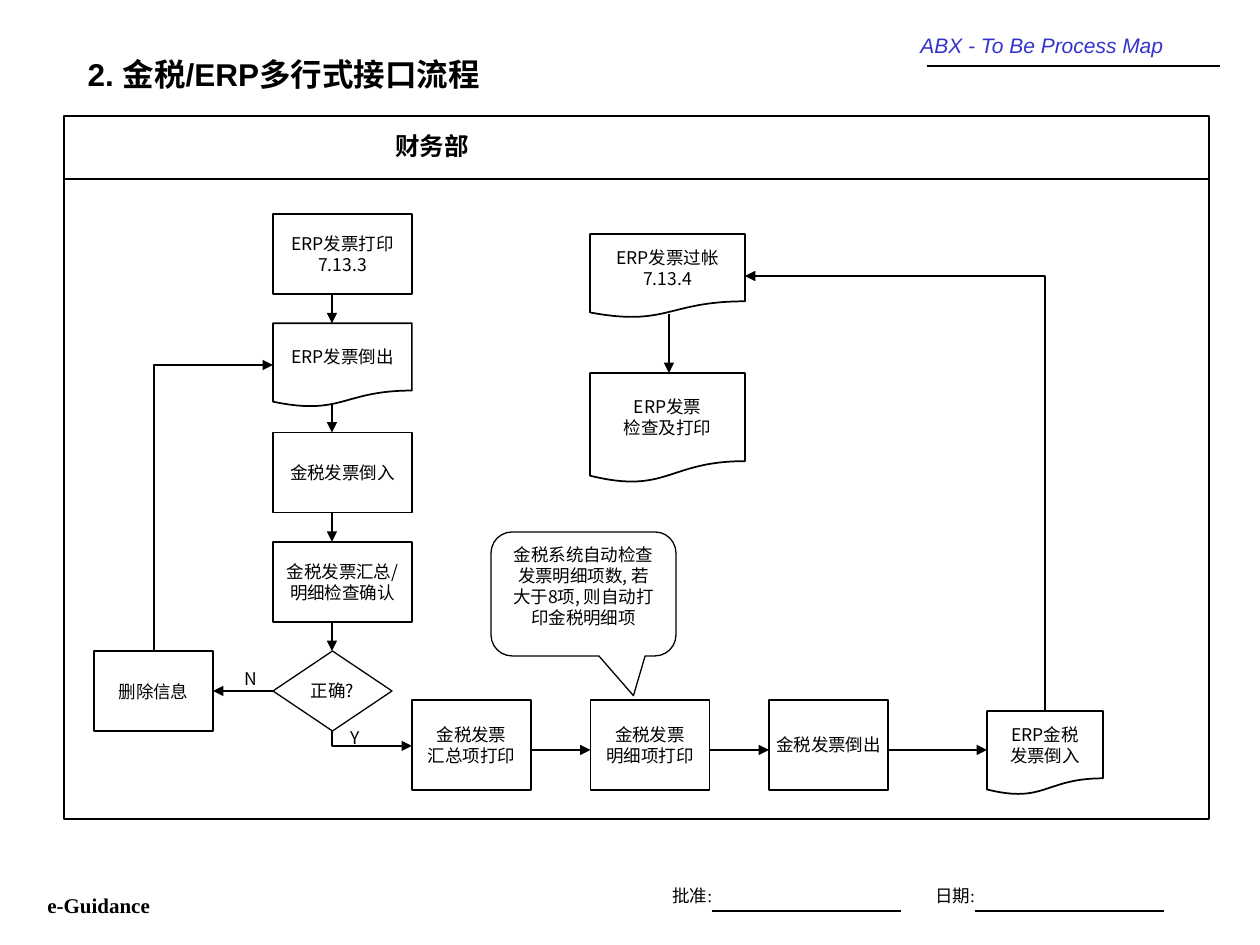
from lxml import etree
from pptx import Presentation
from pptx.dml.color import RGBColor
from pptx.enum.shapes import MSO_CONNECTOR, MSO_SHAPE
from pptx.enum.text import MSO_ANCHOR, PP_ALIGN
from pptx.oxml.ns import qn
from pptx.util import Emu, Pt

PX = 914400 // 126
BLACK = RGBColor(0x00, 0x00, 0x00)
WHITE = RGBColor(0xFF, 0xFF, 0xFF)
BLUE = RGBColor(0x33, 0x33, 0xCC)
SANS, SERIF, CJK = "Arial", "Times New Roman", "Noto Sans CJK SC"
RECT, DOC = MSO_SHAPE.RECTANGLE, MSO_SHAPE.FLOWCHART_DOCUMENT
DECISION, CALLOUT = MSO_SHAPE.FLOWCHART_DECISION, MSO_SHAPE.ROUNDED_RECTANGULAR_CALLOUT
STRAIGHT, ELBOW = MSO_CONNECTOR.STRAIGHT, MSO_CONNECTOR.ELBOW
LEFT, CENTER = PP_ALIGN.LEFT, PP_ALIGN.CENTER
TOP, MIDDLE = MSO_ANCHOR.TOP, MSO_ANCHOR.MIDDLE

TITLE = "2. 金税/ERP多行式接口流程"
CHECK_STEPS = [
    (RECT, "ERP发票打印\n7.13.3", 139, 80, 1),
    (DOC, "ERP发票倒出", 139, 84, 1),
    (RECT, "金税发票倒入", 139, 80, 1),
    (RECT, "金税发票汇总/\n明细检查确认", 139, 80, 1),
    (DECISION, "正确?", 119, 80, 0.75),
]
PRINT_STEPS = ["金税发票\n汇总项打印", "金税发票\n明细项打印", "金税发票倒出"]
OTHER_STEPS = [
    (RECT, "删除信息", 94, 651, 119, 80),
    (DOC, "ERP金税\n发票倒入", 987, 711, 116, 84),
    (DOC, "ERP发票过帐\n7.13.4", 590, 234, 155, 84),
    (DOC, "ERP发票\n检查及打印", 590, 373, 155, 110),
]
NOTE = "金税系统自动检查发票明细项数, 若大于8项, 则自动打印金税明细项"
LABELS = [
    ("ABX - To Be Process Map", 908, 26, 280, 38, dict(size=12, font=SANS, color=BLUE, italic=True)),
    ("e-Guidance", 35, 886, 150, 38, dict(size=12, font=SERIF, bold=True)),
    ("财务部", 383, 125, 120, 43, dict(size=14, bold=True)),
    ("Y", 338, 721, 38, 34, {}),
    ("N", 232, 662, 38, 34, {}),
]
SIGNATURES = ["批准:", "日期:"]
ELBOWS = [(745, 276, 1045, 711), (273, 365, 154, 651), (412, 746, 332, 731)]

COLUMN_X, COLUMN_Y, COLUMN_STEP, COLUMN_MID = 273, 214, 109.25, 332
ROW_X, ROW_Y, ROW_STEP, ROW_MID = 412, 700, 178.5, 750
PRINT_W, PRINT_H = 119, 90
SIGN_X, SIGN_STEP = 660, 263


def px(*values):
    return [Emu(round(v * PX)) for v in values]


def write(tf, text, size=10, font=CJK, color=BLACK, bold=False, italic=False,
          align=LEFT, anchor=TOP, wrap=False):
    tf.word_wrap = wrap
    tf.vertical_anchor = anchor
    for i, line in enumerate(text.split("\n")):
        p = tf.paragraphs[0] if i == 0 else tf.add_paragraph()
        p.alignment = align
        r = p.add_run()
        r.text = line
        r.font.size = Pt(size)
        r.font.bold, r.font.italic = bold, italic
        r.font.color.rgb = color
        r.font.name = font
        ea = etree.SubElement(r.font._element, qn("a:ea"))
        ea.set("typeface", CJK)


def add_label(s, text, x, y, w, h, **fmt):
    fmt = {"wrap": True, **fmt}
    write(s.shapes.add_textbox(*px(x, y, w, h)).text_frame, text, **fmt)


def add_box(s, kind, text, x, y, w, h, weight=1, fill=None, **fmt):
    sp = s.shapes.add_shape(kind, *px(x, y, w, h))
    sp.shadow.inherit = False
    if fill is None:
        sp.fill.background()
    else:
        sp.fill.solid()
        sp.fill.fore_color.rgb = fill
    sp.line.color.rgb = BLACK
    sp.line.width = Pt(weight)
    if text:
        write(sp.text_frame, text, **{"align": CENTER, "anchor": MIDDLE, **fmt})
    return sp


def add_line(s, x1, y1, x2, y2, weight=0.75, kind=STRAIGHT, arrow=None):
    cxn = s.shapes.add_connector(kind, *px(x1, y1, x2, y2))
    cxn.line.color.rgb = BLACK
    cxn.line.width = Pt(weight)
    sppr = cxn._element.spPr
    if kind == ELBOW:
        sppr.find(qn("a:prstGeom")).set("prst", "bentConnector2")
    if arrow:
        end = etree.SubElement(cxn.line._get_or_add_ln(), qn(arrow))
        end.set("type", "triangle")
    etree.SubElement(sppr, qn("a:effectLst"))


def add_arrow(s, x1, y1, x2, y2, weight=1):
    add_line(s, x1, y1, x2, y2, weight, arrow="a:tailEnd")


def main():
    prs = Presentation()
    prs.slide_width, prs.slide_height = px(1260, 945)
    s = prs.slides.add_slide(prs.slide_layouts[5])

    title = s.shapes.title
    title.left, title.top, title.width, title.height = px(75, 42, 764, 63)
    write(title.text_frame, TITLE, size=18, font=SANS, bold=True, anchor=MIDDLE, wrap=True)

    add_box(s, RECT, "", 64, 116, 1145, 703, weight=0.75)
    add_line(s, 64, 179, 1209, 179)
    add_line(s, 927, 66, 1220, 66)
    for text, x, y, w, h, fmt in LABELS:
        add_label(s, text, x, y, w, h, **fmt)
    for i, text in enumerate(SIGNATURES):
        x = SIGN_X + i * SIGN_STEP
        add_label(s, text, x, 879, 84, 34, font=SERIF)
        add_line(s, x + 52, 911, x + 241, 911)

    for i, (kind, text, w, h, weight) in enumerate(CHECK_STEPS):
        y = COLUMN_Y + i * COLUMN_STEP
        add_box(s, kind, text, COLUMN_X, y, w, h, weight)
        if i:
            add_arrow(s, COLUMN_MID, y - COLUMN_STEP + 80, COLUMN_MID, y)
    for i, text in enumerate(PRINT_STEPS):
        x = ROW_X + i * ROW_STEP
        add_box(s, RECT, text, x, ROW_Y, PRINT_W, PRINT_H)
        target = x + ROW_STEP if i < len(PRINT_STEPS) - 1 else 987
        add_arrow(s, x + PRINT_W, ROW_MID, target, ROW_MID)
    for step in OTHER_STEPS:
        add_box(s, *step)

    add_arrow(s, 669, 314, 669, 373)
    add_arrow(s, 273, 691, 213, 691, weight=0.75)
    for points in ELBOWS:
        add_line(s, *points, weight=1, kind=ELBOW, arrow="a:headEnd")

    note = add_box(s, CALLOUT, NOTE, 491, 532, 185, 124, weight=0.75, fill=WHITE,
                   anchor=TOP, wrap=True)
    for i, value in enumerate((0.27, 0.82, 0.17)):
        note.adjustments[i] = value

    prs.save("out.pptx")


if __name__ == "__main__":
    main()
